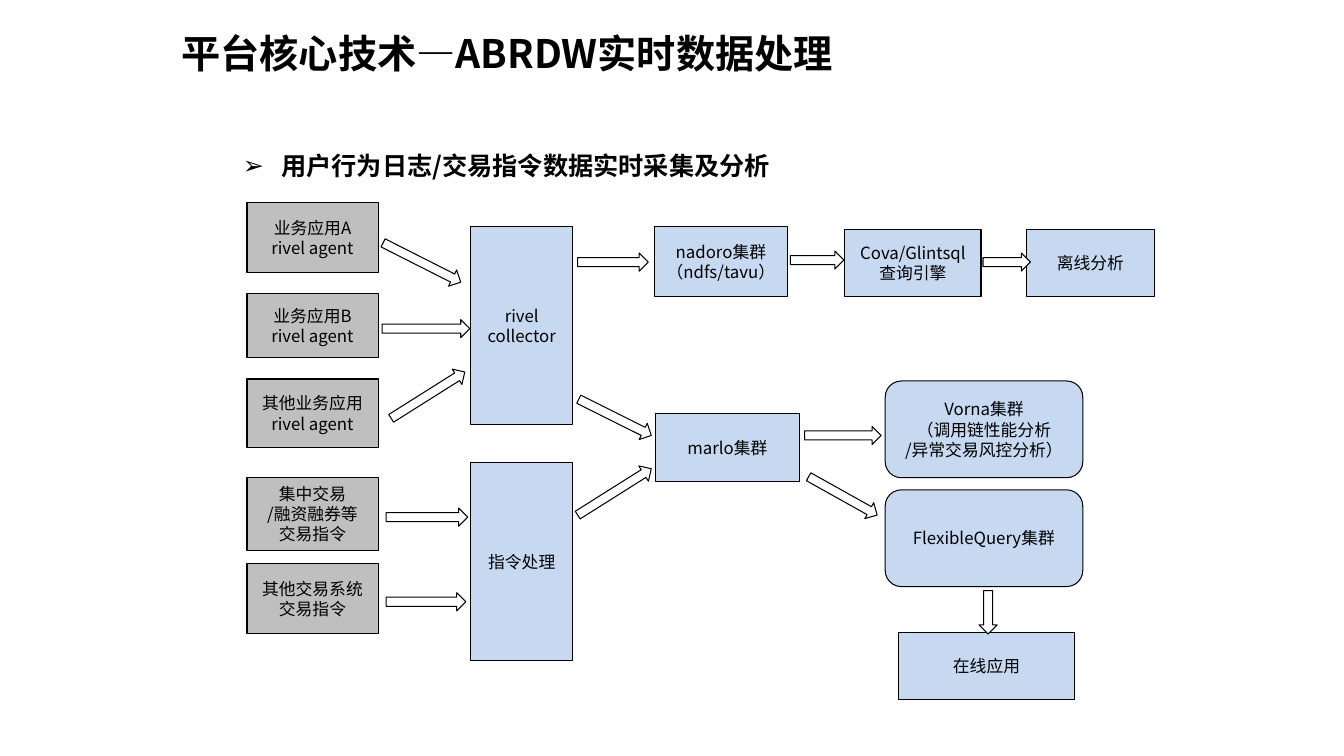
import math
from dataclasses import dataclass

import pptx
import pptx.dml.color
import pptx.enum.shapes
import pptx.enum.text
import pptx.oxml.ns
import pptx.util
from lxml import etree

SHAPE = pptx.enum.shapes.MSO_SHAPE
ALIGN = pptx.enum.text.PP_ALIGN
ANCHOR = pptx.enum.text.MSO_ANCHOR


@dataclass(frozen=True)
class Theme:
    font: str = "Noto Sans CJK SC"
    ink: str = "000000"
    source: str = "BFBFBF"
    stage: str = "C6D9F1"
    arrow: str = "FFFFFF"
    title_pt: int = 28
    body_pt: int = 18
    label_pt: int = 12
    line_pt: float = 0.75


THEME = Theme()

# Grid: one column and one row are one inch each
COLS, ROWS = 13.33, 7.5
SOURCE_X, SOURCE_W = 2.45, 1.3
HUB_X, HUB_W, HUB_H = 4.67, 1.01, 1.96
CLUSTER_X, CLUSTER_W, CLUSTER_H = 8.78, 1.96, 0.96
ARROW_H = 0.18

# Grey sources: top, height, text
SOURCES = [
    (2.01, 0.69, "业务应用A\nrivel agent"),
    (2.91, 0.64, "业务应用B\nrivel agent"),
    (3.76, 0.68, "其他业务应用\nrivel agent"),
    (4.74, 0.72, "集中交易\n/融资融券等\n交易指令"),
    (5.59, 0.70, "其他交易系统\n交易指令"),
]

# Blue hubs: top, text
HUBS = [(2.25, "rivel collector"), (4.59, "指令处理")]

# Blue stages: left, top, width, height, text
STAGES = [
    (6.49, 2.25, 1.32, 0.69, "nadoro集群\n（ndfs/tavu）"),
    (8.38, 2.28, 1.35, 0.66, "Cova/Glintsql\n查询引擎"),
    (10.18, 2.28, 1.27, 0.66, "离线分析"),
    (6.5, 4.1, 1.43, 0.68, "marlo集群"),
    (8.91, 6.28, 1.75, 0.66, "在线应用"),
]

# Rounded clusters: top, text
CLUSTERS = [
    (3.78, "Vorna集群\n（调用链性能分析\n/异常交易风控分析）"),
    (4.86, "FlexibleQuery集群"),
]

# Block arrows: tail x, tail y, head x, head y
ARROWS = [
    # sources to hubs
    (3.80, 2.41, 4.57, 2.80),
    (3.79, 3.26, 4.66, 3.26),
    (3.88, 4.15, 4.61, 3.69),
    (3.83, 5.13, 4.64, 5.13),
    (3.83, 5.97, 4.62, 5.97),
    # offline chain
    (5.73, 2.60, 6.43, 2.60),
    (7.84, 2.58, 8.37, 2.58),
    (9.75, 2.60, 10.22, 2.60),
    # online chain
    (5.74, 3.96, 6.46, 4.32),
    (5.73, 5.11, 6.46, 4.65),
    (7.98, 4.32, 8.74, 4.32),
    (8.02, 4.73, 8.70, 5.11),
    (9.80, 5.86, 9.80, 6.29),
]


def grid(*lengths):
    return [pptx.util.Inches(n) for n in lengths]


def rgb(value):
    return pptx.dml.color.RGBColor.from_string(value)


def format_runs(tf, size, bold=False):
    for p in tf.paragraphs:
        for r in p.runs:
            r.font.size = pptx.util.Pt(size)
            r.font.bold = bold
            r.font.name = THEME.font
            r.font.color.rgb = rgb(THEME.ink)
            ea = etree.SubElement(r.font._element, pptx.oxml.ns.qn("a:ea"))
            ea.set("typeface", THEME.font)


def fill_placeholder(sp, box, text, size):
    sp.left, sp.top, sp.width, sp.height = grid(*box)
    tf = sp.text_frame
    tf.text = text
    tf.word_wrap = True
    tf.auto_size = pptx.enum.text.MSO_AUTO_SIZE.NONE
    tf.vertical_anchor = ANCHOR.TOP
    tf.paragraphs[0].alignment = ALIGN.LEFT
    format_runs(tf, size, bold=True)
    return tf.paragraphs[0]


def add_bullet(p, char, indent):
    pPr = p._p.get_or_add_pPr()
    pPr.set("marL", str(pptx.util.Inches(indent)))
    pPr.set("indent", str(-pptx.util.Inches(indent)))
    etree.SubElement(pPr, pptx.oxml.ns.qn("a:buChar")).set("char", char)


def add_block(s, kind, box, fill):
    sp = s.shapes.add_shape(kind, *grid(*box))
    sp.shadow.inherit = False
    sp.fill.solid()
    sp.fill.fore_color.rgb = rgb(fill)
    sp.line.color.rgb = rgb(THEME.ink)
    sp.line.width = pptx.util.Pt(THEME.line_pt)
    return sp


def add_box(s, box, text, fill=THEME.stage, kind=SHAPE.RECTANGLE, wrap=True):
    tf = add_block(s, kind, box, fill).text_frame
    tf.text = text
    tf.word_wrap = wrap
    tf.vertical_anchor = ANCHOR.MIDDLE
    for p in tf.paragraphs:
        p.alignment = ALIGN.CENTER
    format_runs(tf, THEME.label_pt)


def add_arrow(s, x1, y1, x2, y2):
    length = math.hypot(x2 - x1, y2 - y1)
    left = (x1 + x2 - length) / 2
    top = (y1 + y2 - ARROW_H) / 2
    sp = add_block(s, SHAPE.RIGHT_ARROW, (left, top, length, ARROW_H), THEME.arrow)
    sp.rotation = math.degrees(math.atan2(y2 - y1, x2 - x1)) % 360


def main():
    prs = pptx.Presentation()
    prs.slide_width, prs.slide_height = grid(COLS, ROWS)
    s = prs.slides.add_slide(prs.slide_layouts[1])

    # Title and bullet heading
    fill_placeholder(s.shapes.title, (1.7, 0.24, 7.33, 0.57),
                     "平台核心技术—ABRDW实时数据处理", THEME.title_pt)
    p = fill_placeholder(s.placeholders[1], (2.31, 1.29, 6.73, 0.55),
                         "用户行为日志/交易指令数据实时采集及分析", THEME.body_pt)
    p.line_spacing = 1.5
    p.space_before = pptx.util.Pt(3.9)
    add_bullet(p, "➢", 0.38)

    # Boxes of the data flow
    for top, height, text in SOURCES:
        add_box(s, (SOURCE_X, top, SOURCE_W, height), text, THEME.source, wrap=False)
    for top, text in HUBS:
        add_box(s, (HUB_X, top, HUB_W, HUB_H), text)
    for *box, text in STAGES:
        add_box(s, box, text)
    for top, text in CLUSTERS:
        add_box(s, (CLUSTER_X, top, CLUSTER_W, CLUSTER_H), text,
                kind=SHAPE.ROUNDED_RECTANGLE)

    # Arrows between them
    for ends in ARROWS:
        add_arrow(s, *ends)

    prs.save("out.pptx")


main()
